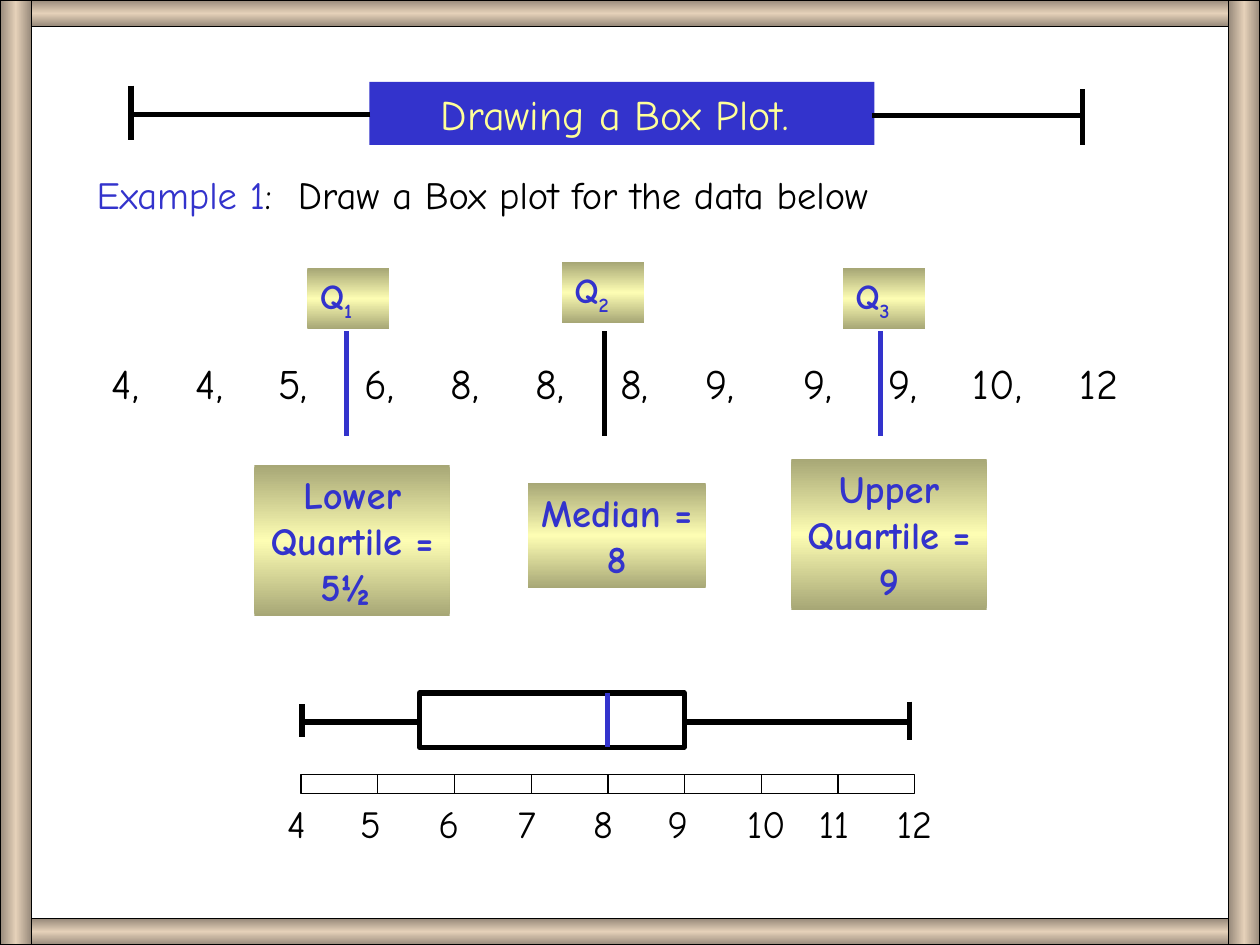
import pptx
import pptx.dml.color
import pptx.enum.shapes
import pptx.enum.text
import pptx.oxml
import pptx.oxml.ns
import pptx.util
from lxml import etree

Pt = pptx.util.Pt
RGBColor = pptx.dml.color.RGBColor
qn = pptx.oxml.ns.qn
ALIGN = pptx.enum.text.PP_ALIGN

FONT = "Comic Neue"
BLACK = RGBColor(0x00, 0x00, 0x00)
BLUE = RGBColor(0x33, 0x33, 0xCC)
PALE = RGBColor(0xFF, 0xFF, 0x99)
OLIVE = RGBColor(0xA7, 0xA7, 0x76)
CREAM = RGBColor(0xFD, 0xFD, 0xB3)
BROWN = RGBColor(0x97, 0x89, 0x7A)
SAND = RGBColor(0xE5, 0xD1, 0xB9)

TITLE = "Drawing a Box Plot. "
DATA = [4, 4, 5, 6, 8, 8, 8, 9, 9, 9, 10, 12]
DATA_TABS = [48, 95, 144.5, 193.5, 242, 290.5, 339, 395, 443.5, 492, 553]

# number, marker x, marker colour, tag left and top, caption, caption box
QUARTILES = [
    ("1", 198, BLUE, (175.7, 153.4), "Lower Quartile = 5½ ", (145.4, 265.7, 111.6, 86.4)),
    ("3", 503.3, BLUE, (481.7, 153.4), "Upper Quartile = 9", (452.2, 262.1, 111.6, 86.4)),
    ("2", 345.6, BLACK, (321.1, 149.8), "Median = 8", (301.7, 275.8, 101.5, 60.5)),
]

AXIS_LEFT, AXIS_TOP, AXIS_STEP, AXIS_HEIGHT = 172, 442.6, 43.85, 10.8
AXIS_LABELS = [(4, 157), (5, 198.7), (6, 243.4), (7, 288.7), (8, 331.9),
               (9, 374.4), (10, 419.8), (11, 460.8), (12, 505.4)]

# x1, y1, x2, y2, colour
LINES = [
    (347, 427, 347, 396, BLUE),
    (172, 412.6, 241, 412.6, BLACK),
    (172.6, 402.5, 172.6, 421.2, BLACK),
    (391, 412.6, 521.3, 412.6, BLACK),
    (519.8, 401, 519.8, 422.6, BLACK),
    (498.2, 66.2, 619.9, 66.2, BLACK),
    (618.5, 51.1, 618.5, 82.8, BLACK),
    (211.7, 65.5, 74.9, 65.5, BLACK),
    (74.9, 49, 74.9, 79.9, BLACK),
]

# box, gradient angle
FRAME = [((0, 0, 720, 15.1), 90), ((0, 524.9, 720, 15.1), 90),
         ((0, 0, 18, 540), 180), ((702, 0, 18, 540), 180)]


def place(shape, box):
    shape.left, shape.top, shape.width, shape.height = map(Pt, box)


def write(shape, *runs, size=22, bold=False, align=ALIGN.LEFT, tabs=()):
    """Fill a shape with one paragraph of (text, colour[, baseline]) runs."""
    tf = shape.text_frame
    tf.word_wrap = True
    tf.auto_size = pptx.enum.text.MSO_AUTO_SIZE.NONE
    tf.vertical_anchor = pptx.enum.text.MSO_ANCHOR.TOP
    tf.margin_left = tf.margin_right = Pt(7.2)
    tf.margin_top = tf.margin_bottom = Pt(3.6)
    p = tf.paragraphs[0]
    p.alignment = align
    if tabs:
        tab_list = etree.SubElement(p._p.get_or_add_pPr(), qn("a:tabLst"))
        for pos in tabs:
            etree.SubElement(tab_list, qn("a:tab"), pos=str(int(Pt(pos))), algn="l")
    for text, colour, *baseline in runs:
        r = p.add_run()
        r.text = text
        r.font.name = FONT
        r.font.size = Pt(size)
        r.font.bold = bold
        r.font.color.rgb = colour
        if baseline:
            r._r.get_or_add_rPr().set("baseline", str(baseline[0] * 1000))


def add_text(s, box, *runs, **fmt):
    write(s.shapes.add_textbox(*map(Pt, box)), *runs, **fmt)


def add_rect(s, box, line=None):
    """Add an unfilled rectangle, with a black outline if a width is given."""
    sp = s.shapes.add_shape(pptx.enum.shapes.MSO_SHAPE.RECTANGLE, *map(Pt, box))
    sp.shadow.inherit = False
    sp.fill.background()
    if line:
        sp.line.color.rgb = BLACK
        sp.line.width = Pt(line)
    else:
        sp.line.fill.background()
    return sp


def add_bar(s, box, edge, middle, angle=90, line=None):
    """Add a rectangle shaded from edge to middle and back."""
    sp = add_rect(s, box, line)
    spPr = sp._element.spPr
    spPr.remove(spPr.find(qn("a:noFill")))
    grad = pptx.oxml.parse_xml(f"<a:gradFill {pptx.oxml.ns.nsdecls('a')}/>")
    spPr.find(qn("a:prstGeom")).addnext(grad)
    stops = etree.SubElement(grad, qn("a:gsLst"))
    for pos, colour in ((0, edge), (50, middle), (100, edge)):
        stop = etree.SubElement(stops, qn("a:gs"), pos=str(pos * 1000))
        etree.SubElement(stop, qn("a:srgbClr"), val=str(colour))
    etree.SubElement(grad, qn("a:lin"), ang=str(angle * 60000), scaled="0")
    return sp


def add_line(s, x1, y1, x2, y2, colour):
    line = s.shapes.add_connector(
        pptx.enum.shapes.MSO_CONNECTOR.STRAIGHT, *map(Pt, (x1, y1, x2, y2)))
    line.line.color.rgb = colour
    line.line.width = Pt(3)
    etree.SubElement(line._element.spPr, qn("a:effectLst"))


def main():
    prs = pptx.Presentation()
    prs.slide_width, prs.slide_height = Pt(720), Pt(540)
    s = prs.slides.add_slide(prs.slide_layouts[5])

    title = s.shapes.title
    place(title, (211, 46.8, 288.7, 36))
    title.fill.solid()
    title.fill.fore_color.rgb = BLUE
    write(title, (TITLE, PALE), size=24, align=ALIGN.CENTER)

    for number, x, colour, tag, caption, box in QUARTILES:
        add_line(s, x, 189.4, x, 249.3, colour)
        write(add_bar(s, box, OLIVE, CREAM), (caption, BLUE),
              bold=True, align=ALIGN.CENTER)
        write(add_bar(s, (*tag, 46.8, 34.6), OLIVE, CREAM),
              ("Q", BLUE), (number, BLUE, -25), size=20, bold=True)

    for i in range(len(AXIS_LABELS) - 1):
        add_rect(s, (AXIS_LEFT + i * AXIS_STEP, AXIS_TOP, AXIS_STEP, AXIS_HEIGHT), 0.75)
    for value, left in AXIS_LABELS:
        add_text(s, (left, 453.6, 30 if value < 10 else 48, 33.8), (str(value), BLACK))

    add_rect(s, (239.8, 396, 151.2, 31), 3)
    for line in LINES:
        add_line(s, *line)

    add_text(s, (56.9, 200.9, 630, 36), (",\t".join(map(str, DATA)), BLACK),
             size=24, tabs=DATA_TABS)
    add_text(s, (48.2, 94.3, 649.4, 33.8), ("Example 1", BLUE),
             (":\tDraw a Box plot for the data below", BLACK), tabs=[115])

    for box, angle in FRAME:
        add_bar(s, box, BROWN, SAND, angle, 0.75)

    prs.save("out.pptx")


if __name__ == "__main__":
    main()
